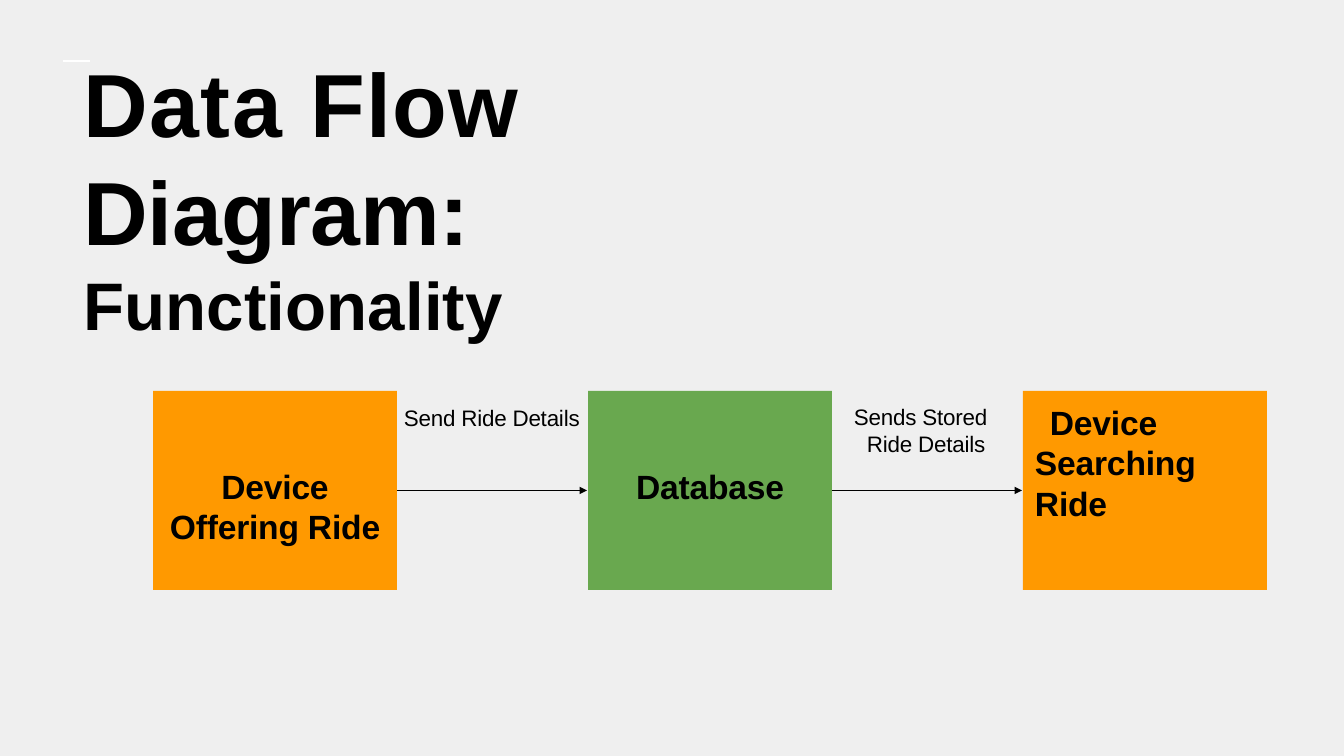
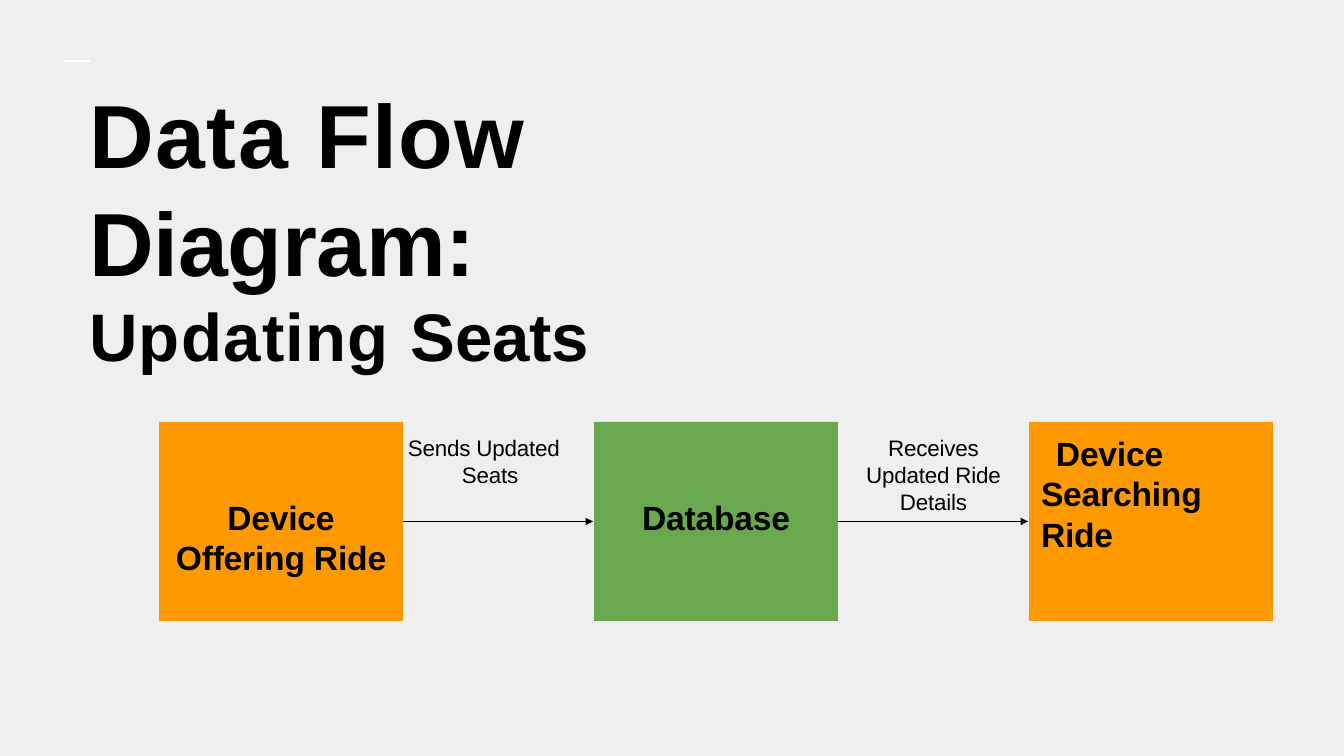
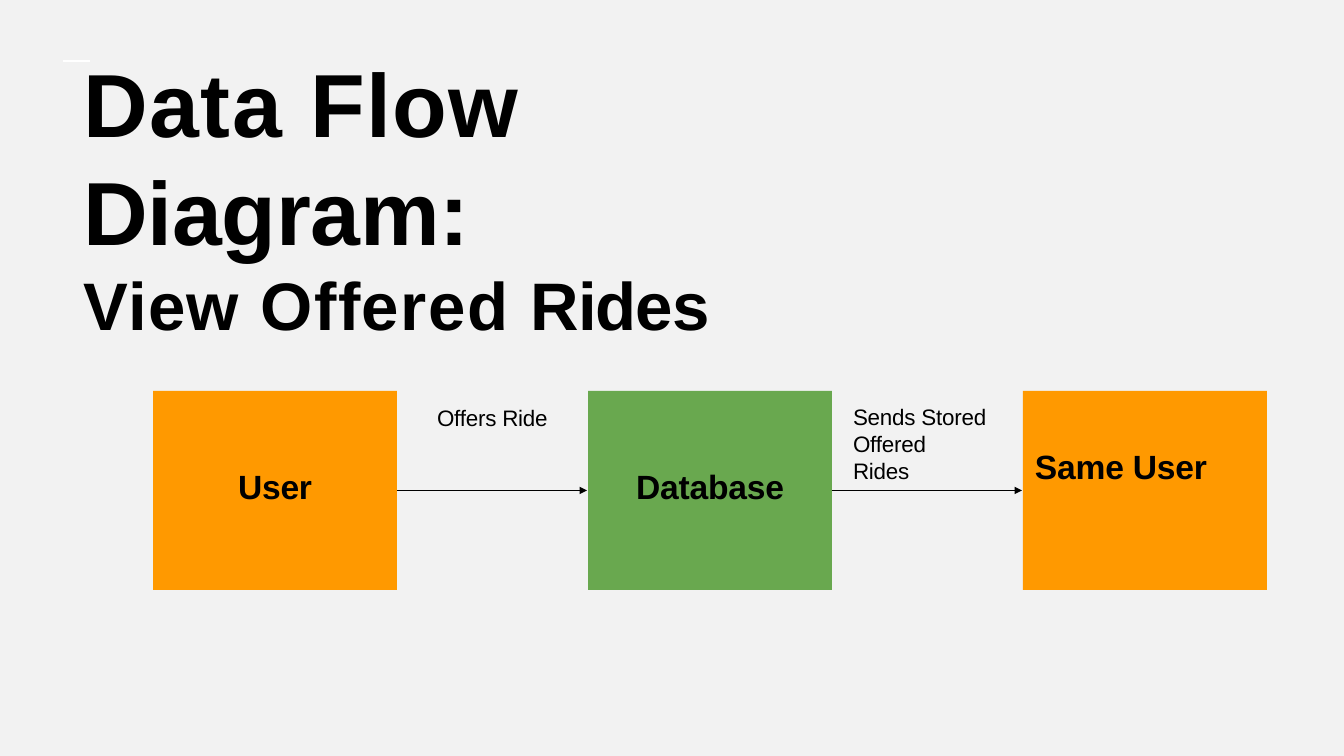
from pptx import Presentation
from pptx.dml.color import RGBColor
from pptx.enum.shapes import MSO_CONNECTOR, MSO_SHAPE
from pptx.enum.text import MSO_ANCHOR, MSO_AUTO_SIZE, PP_ALIGN
from pptx.oxml.ns import qn
from pptx.util import Pt
from lxml.etree import SubElement

PX = 914400 / 134.4
FONT = "Arial"
COLORS = {
    "page": "EFEFEF", "page_light": "F2F2F2", "dash": "FFFFFF",
    "device": "FF9900", "store": "69A84F", "ink": "000000",
}
LEFT, CENTER = PP_ALIGN.LEFT, PP_ALIGN.CENTER

HEADING = [("Data ", 48, 0.9), ("Flow ", 48, 0.7), ("Diagram:", 48, -0.1)]
OFFERING = ("Device\nOffering Ride", "device", dict(top=75, align=CENTER))
STORE = ("Database", "store", dict(top=75, align=CENTER))
SEARCHING = ("Device\nSearching\nRide", "device", dict(top=11, margin=12, indent=15))

SLIDES = [
    dict(
        page="page", shift=(0, 0),
        subtitle=[("Functionality", 36, 0.1)],
        boxes=[OFFERING, STORE, SEARCHING],
        labels=[
            ("Send Ride Details", 402, 183, dict(margin=2)),
            ("Sends Stored\nRide Details", 852, 139, dict(margin=15, indent=-13)),
        ],
    ),
    dict(
        page="page", shift=(6, 31),
        subtitle=[("Updating ", 36, 0.7), ("Seats", 36, -0.1)],
        boxes=[OFFERING, STORE, SEARCHING],
        labels=[
            ("Sends Updated\nSeats", 407, 159, dict(margin=55, indent=-54)),
            ("Receives\nUpdated Ride\nDetails", 863, 141, dict(align=CENTER)),
        ],
    ),
    dict(
        page="page_light", shift=(0, 0),
        subtitle=[("View Offered ", 36, 0.8), ("Rides", 36, -0.5)],
        boxes=[
            ("User", "device", dict(top=75, align=CENTER)),
            STORE,
            ("Same User", "device", dict(top=55, margin=12)),
        ],
        labels=[
            ("Offers Ride", 435, 119, dict(margin=2)),
            ("Sends Stored\nOffered\nRides", 851, 141, dict(margin=2)),
        ],
    ),
]

BOX_X, BOX_Y, BOX_W, BOX_H, BOX_STEP = 153, 391, 244, 199, 435
TITLE_X, TITLE_Y, TITLE_W, TITLE_H = 82, 46, 844, 193


def px(*values):
    return [round(v * PX) for v in values]


def rgb(name):
    return RGBColor.from_string(COLORS[name])


def write(tf, paragraphs, top=0, align=LEFT, margin=0, indent=0, bold=True, spacing=None):
    tf.word_wrap = True
    tf.auto_size = MSO_AUTO_SIZE.NONE
    tf.vertical_anchor = MSO_ANCHOR.TOP
    tf.margin_left = tf.margin_right = tf.margin_bottom = 0
    tf.margin_top = px(top)[0]
    for i, runs in enumerate(paragraphs):
        p = tf.add_paragraph() if i else tf.paragraphs[0]
        p.alignment = align
        if spacing:
            p.line_spacing = Pt(spacing)
        pPr = p._p.get_or_add_pPr()
        pPr.set("marL", str(px(margin)[0]))
        pPr.set("indent", str(px(indent)[0]))
        for text, size, spc in runs:
            for j, line in enumerate(text.split("\n")):
                if j:
                    p.add_line_break()
                r = p.add_run()
                r.text = line
                r.font.name, r.font.size, r.font.bold = FONT, Pt(size), bold
                r.font.color.rgb = rgb("ink")
                r._r.get_or_add_rPr().set("spc", str(round(spc * 100)))


def add_line(s, x1, x2, y, color, width, arrow=False):
    line = s.shapes.add_connector(MSO_CONNECTOR.STRAIGHT, *px(x1, y, x2, y))
    line.line.color.rgb = rgb(color)
    line.line.width = Pt(width)
    if arrow:
        ln = line.line._get_or_add_ln()
        SubElement(ln, qn("a:tailEnd"), type="triangle", w="sm", len="sm")
    SubElement(line._element.spPr, qn("a:effectLst"))


def add_box(s, text, color, x, y, style):
    sp = s.shapes.add_shape(MSO_SHAPE.RECTANGLE, *px(x, y, BOX_W, BOX_H))
    sp.shadow.inherit = False
    sp.fill.solid()
    sp.fill.fore_color.rgb = rgb(color)
    sp.line.fill.background()
    write(sp.text_frame, [[(text, 18, -0.1)]], **style)


def add_label(s, text, x, y, w, style):
    lines = text.count("\n") + 1
    tb = s.shapes.add_textbox(*px(x, y, w, 5 + 26 * lines))
    write(tb.text_frame, [[(text, 12, -0.1)]], top=2, bold=False,
          spacing=14.2 if lines > 1 else None, **style)


def add_flow(prs, page, shift, subtitle, boxes, labels):
    s = prs.slides.add_slide(prs.slide_layouts[5])
    s.background.fill.solid()
    s.background.fill.fore_color.rgb = rgb(page)
    add_line(s, 63, 90, 61, "dash", 1.5)
    dx, dy = shift
    title = s.shapes.title
    title.left, title.top, title.width, title.height = px(
        TITLE_X + dx, TITLE_Y + dy, TITLE_W, TITLE_H)
    write(title.text_frame, [HEADING, subtitle], top=2, margin=1)
    y = BOX_Y + dy
    for i, (text, color, style) in enumerate(boxes):
        x = BOX_X + dx + i * BOX_STEP
        add_box(s, text, color, x, y, style)
        if i:
            add_line(s, x - BOX_STEP + BOX_W, x - 1, y + BOX_H / 2, "ink", 0.75, arrow=True)
    for text, x, w, style in labels:
        add_label(s, text, x, y + 11, w, style)


def main():
    prs = Presentation()
    prs.slide_width, prs.slide_height = px(1344, 756)
    for slide in SLIDES:
        add_flow(prs, **slide)
    prs.save("out.pptx")


if __name__ == "__main__":
    main()
